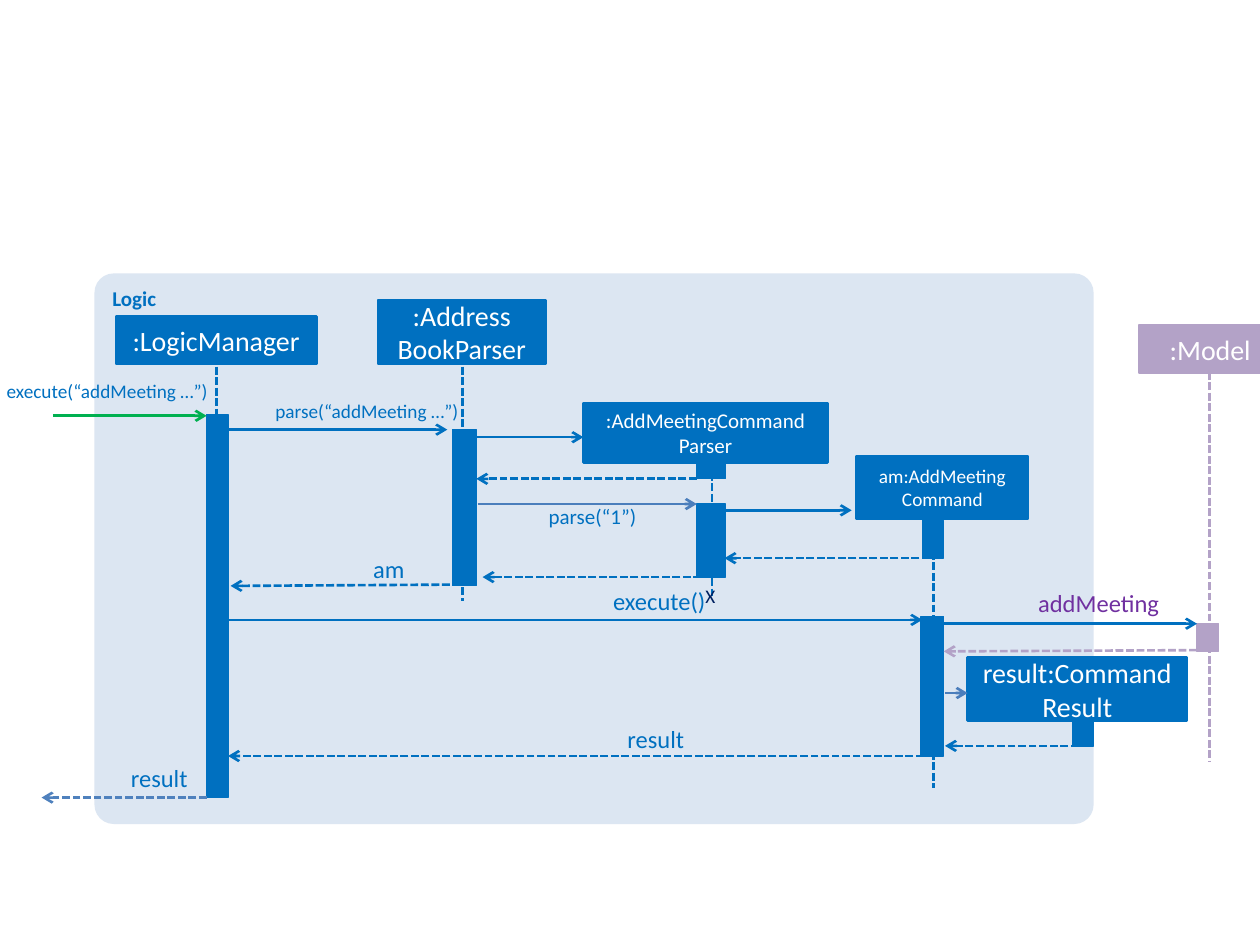
from lxml import etree
from pptx import Presentation
from pptx.dml.color import RGBColor
from pptx.enum.dml import MSO_LINE
from pptx.enum.shapes import MSO_CONNECTOR, MSO_SHAPE
from pptx.enum.text import MSO_ANCHOR, MSO_AUTO_SIZE, PP_ALIGN
from pptx.oxml.ns import qn
from pptx.util import Inches, Pt

STRAIGHT = MSO_CONNECTOR.STRAIGHT
RECTANGLE, ROUNDED = MSO_SHAPE.RECTANGLE, MSO_SHAPE.ROUNDED_RECTANGLE
LEFT, CENTER, RIGHT = PP_ALIGN.LEFT, PP_ALIGN.CENTER, PP_ALIGN.RIGHT
TOP, MIDDLE = MSO_ANCHOR.TOP, MSO_ANCHOR.MIDDLE
DASH = MSO_LINE.SQUARE_DOT
GROW = MSO_AUTO_SIZE.SHAPE_TO_FIT_TEXT

BLUE = RGBColor(0x00, 0x70, 0xC0)
STEEL = RGBColor(0x4B, 0x7E, 0xBC)
ACCENT = RGBColor(0x4F, 0x81, 0xBD)
PALE = RGBColor(0xDC, 0xE6, 0xF2)
LILAC = RGBColor(0xB3, 0xA2, 0xC7)
PURPLE = RGBColor(0x70, 0x30, 0xA0)
GREEN = RGBColor(0x00, 0xB0, 0x50)
NAVY = RGBColor(0x00, 0x20, 0x60)
WHITE = RGBColor(0xFF, 0xFF, 0xFF)

PANEL = (0.75, 2.17, 7.93, 4.37)

# x, top, bottom, colour
LIFELINES = [
    (1.72, 2.91, 5.75, BLUE),
    (3.67, 2.91, 4.77, BLUE),
    (5.65, 3.67, 4.75, BLUE),
    (7.41, 4.13, 6.25, BLUE),
    (9.6, 2.95, 6.05, LILAC),
]

# from x, to x, y, colour
CALLS = [
    (0.42, 1.64, 3.3, GREEN),
    (1.81, 3.55, 3.41, BLUE),
    (3.73, 4.63, 3.47, BLUE),
    (3.79, 5.53, 4, STEEL),
    (5.75, 6.76, 4.05, BLUE),
    (1.81, 7.32, 4.92, BLUE),
    (7.49, 9.5, 4.95, BLUE),
    (7.5, 7.68, 5.5, STEEL),
]

# from x, to x, from y, to y, colour
RETURNS = [
    (5.53, 3.78, 3.8, 3.8, BLUE),
    (7.38, 5.75, 4.43, 4.43, BLUE),
    (5.65, 3.83, 4.58, 4.58, BLUE),
    (3.57, 1.83, 4.64, 4.65, BLUE),
    (9.5, 7.49, 5.16, 5.17, LILAC),
    (8.56, 7.5, 5.92, 5.92, BLUE),
    (7.33, 1.81, 6, 6, BLUE),
    (1.64, 0.33, 6.33, 6.33, ACCENT),
]

ACTIVATIONS = [
    ((1.64, 3.29, 0.17, 3.04), BLUE),
    ((3.59, 3.41, 0.19, 1.24), BLUE),
    ((5.53, 3.67, 0.23, 0.13), BLUE),
    ((5.53, 4, 0.23, 0.58), BLUE),
    ((7.32, 4.13, 0.17, 0.3), BLUE),
    ((7.31, 4.89, 0.18, 1.11), BLUE),
    ((8.51, 5.73, 0.17, 0.19), BLUE),
    ((9.5, 4.95, 0.17, 0.22), LILAC),
]

PARTICIPANTS = [
    (":LogicManager", (0.92, 2.51, 1.59, 0.38), 16, BLUE),
    (":Address\nBookParser", (3, 2.38, 1.33, 0.51), 16, BLUE),
    (":AddMeetingCommand\nParser", (4.63, 3.2, 1.94, 0.47), 12, BLUE),
    ("am:AddMeeting\vCommand", (6.8, 3.62, 1.36, 0.5), 11, BLUE),
    ("result:Command Result", (7.68, 5.22, 1.74, 0.5), 16, BLUE),
    (":Model", (9.04, 2.58, 1.13, 0.38), 16, LILAC),
]

LABELS = [
    ("execute(“addMeeting …”)", (-0.92, 3.01, 2.57, 0.19), 11, BLUE),
    ("parse(“addMeeting …”)", (2.08, 3.17, 1.56, 0.19), 11, BLUE),
    ("parse(“1”)", (4.21, 4, 0.84, 0.2), 12, BLUE),
    ("am", (2.75, 4.4, 0.46, 0.24), 14, BLUE),
    ("execute()", (4.66, 4.65, 0.94, 0.24), 14, BLUE),
    ("addMeeting", (7.64, 4.67, 1.56, 0.24), 14, PURPLE),
    ("result", (4.75, 5.75, 0.68, 0.24), 14, BLUE),
    ("result", (0.66, 6.06, 0.83, 0.24), 14, BLUE),
]

deck = Presentation()
deck.slide_width, deck.slide_height = Inches(10), Inches(7.5)
page = deck.slides.add_slide(deck.slide_layouts[6])


def write(box, text, size, color, align=LEFT, anchor=TOP, bold=False, wrap=True):
    frame = box.text_frame
    frame.text = text
    frame.word_wrap = wrap
    frame.vertical_anchor = anchor
    for para in frame.paragraphs:
        para.alignment = align
        for span in para.runs:
            span.font.name = "Calibri"
            span.font.size = Pt(size)
            span.font.bold = bold
            span.font.color.rgb = color


def add_box(place, color, border=None, preset=RECTANGLE):
    box = page.shapes.add_shape(preset, *map(Inches, place))
    box.shadow.inherit = False
    box.fill.solid()
    box.fill.fore_color.rgb = color
    if border:
        box.line.color.rgb = color
        box.line.width = Pt(border)
    else:
        box.line.fill.background()
    return box


def add_line(start, end, color, dashed=False, arrow=True):
    line = page.shapes.add_connector(STRAIGHT, *map(Inches, start + end))
    line.line.color.rgb = color
    line.line.width = Pt(1.5)
    if dashed:
        line.line.dash_style = DASH
    properties = line._element.spPr
    if arrow:
        etree.SubElement(properties.find(qn("a:ln")), qn("a:tailEnd"), type="arrow")
    etree.SubElement(properties, qn("a:effectLst"))


def add_label(text, place, size, color, **options):
    box = page.shapes.add_textbox(*map(Inches, place))
    write(box, text, size, color, **options)
    box.text_frame.auto_size = GROW
    return box.text_frame


panel = add_box(PANEL, PALE, preset=ROUNDED)
panel.adjustments[0] = 0.035
write(panel, "Logic", 12, BLUE, bold=True)

for x, top, bottom, color in LIFELINES:
    add_line((x, top), (x, bottom), color, dashed=True, arrow=False)

for place, color in ACTIVATIONS:
    add_box(place, color, border=0.75)

for text, place, size, color in PARTICIPANTS:
    box = add_box(place, color, border=1.5)
    write(box, text, size, WHITE, align=CENTER, anchor=MIDDLE)

for start, end, y, color in CALLS:
    add_line((start, y), (end, y), color)

for start, end, start_y, end_y, color in RETURNS:
    add_line((start, start_y), (end, end_y), color, dashed=True)

for text, place, size, color in LABELS:
    frame = add_label(text, place, size, color, align=RIGHT)
    frame.margin_left = frame.margin_right = frame.margin_top = frame.margin_bottom = 0

add_label("X", (5.5, 4.59, 0.28, 0.29), 11, NAVY, wrap=False)

deck.save("out.pptx")
